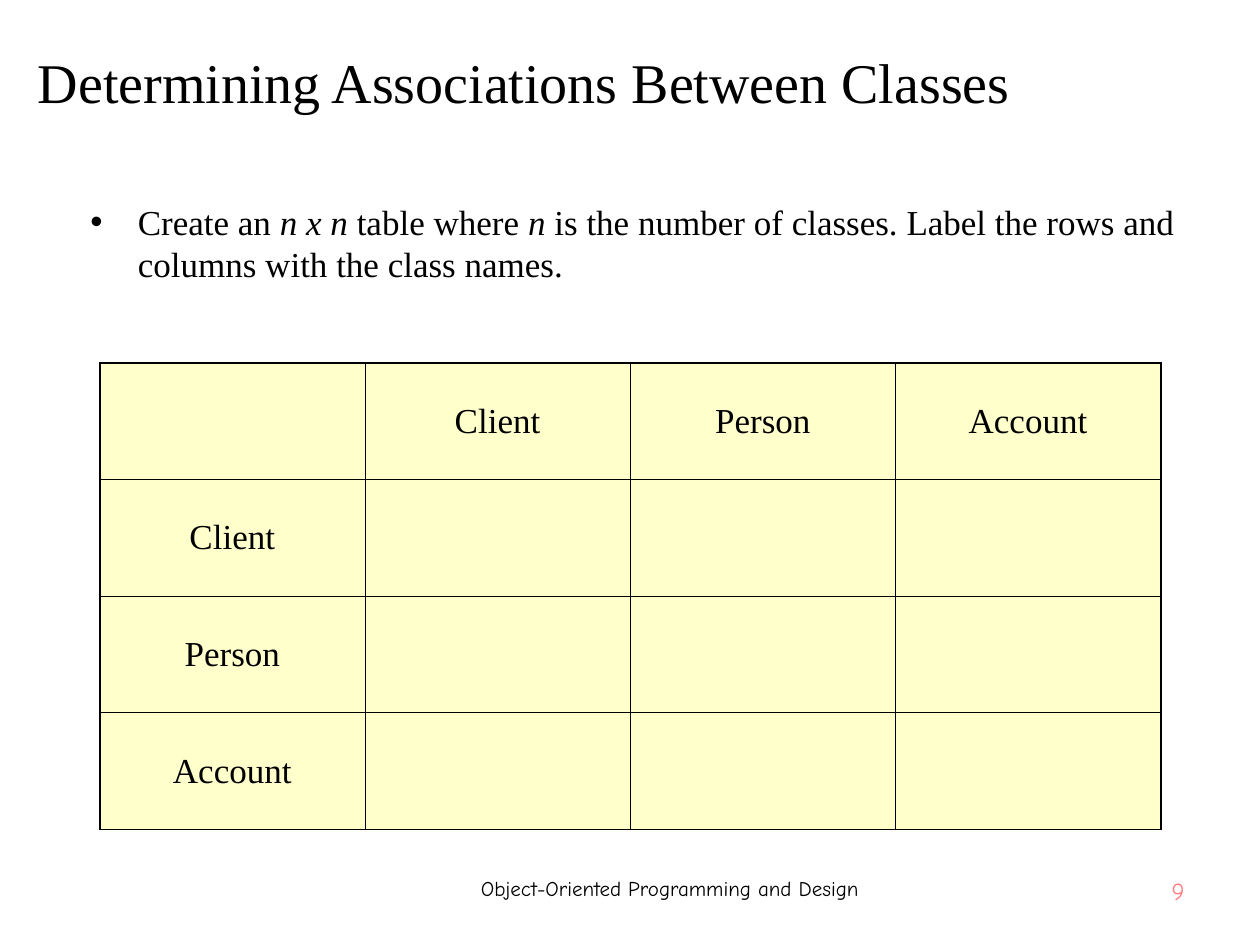
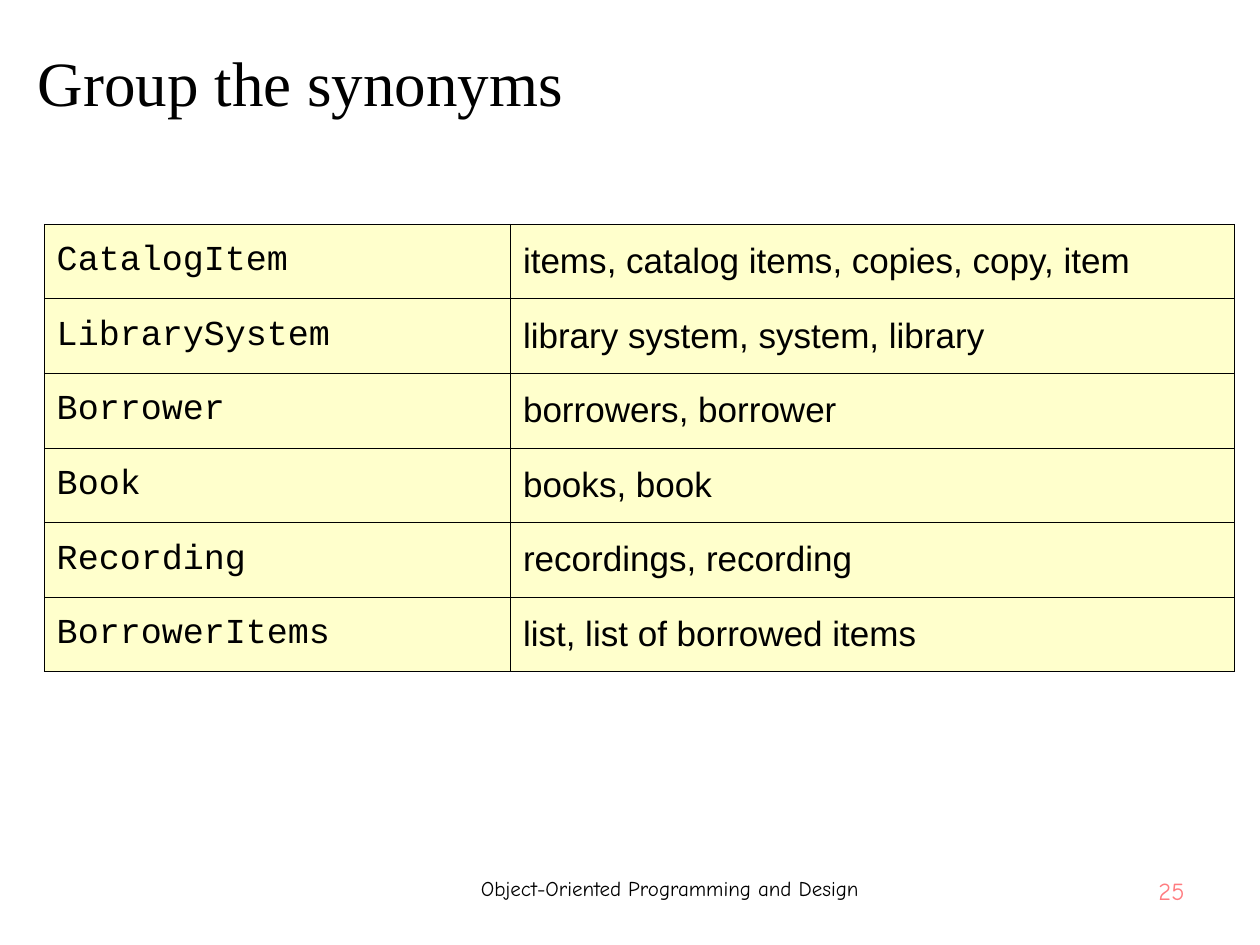
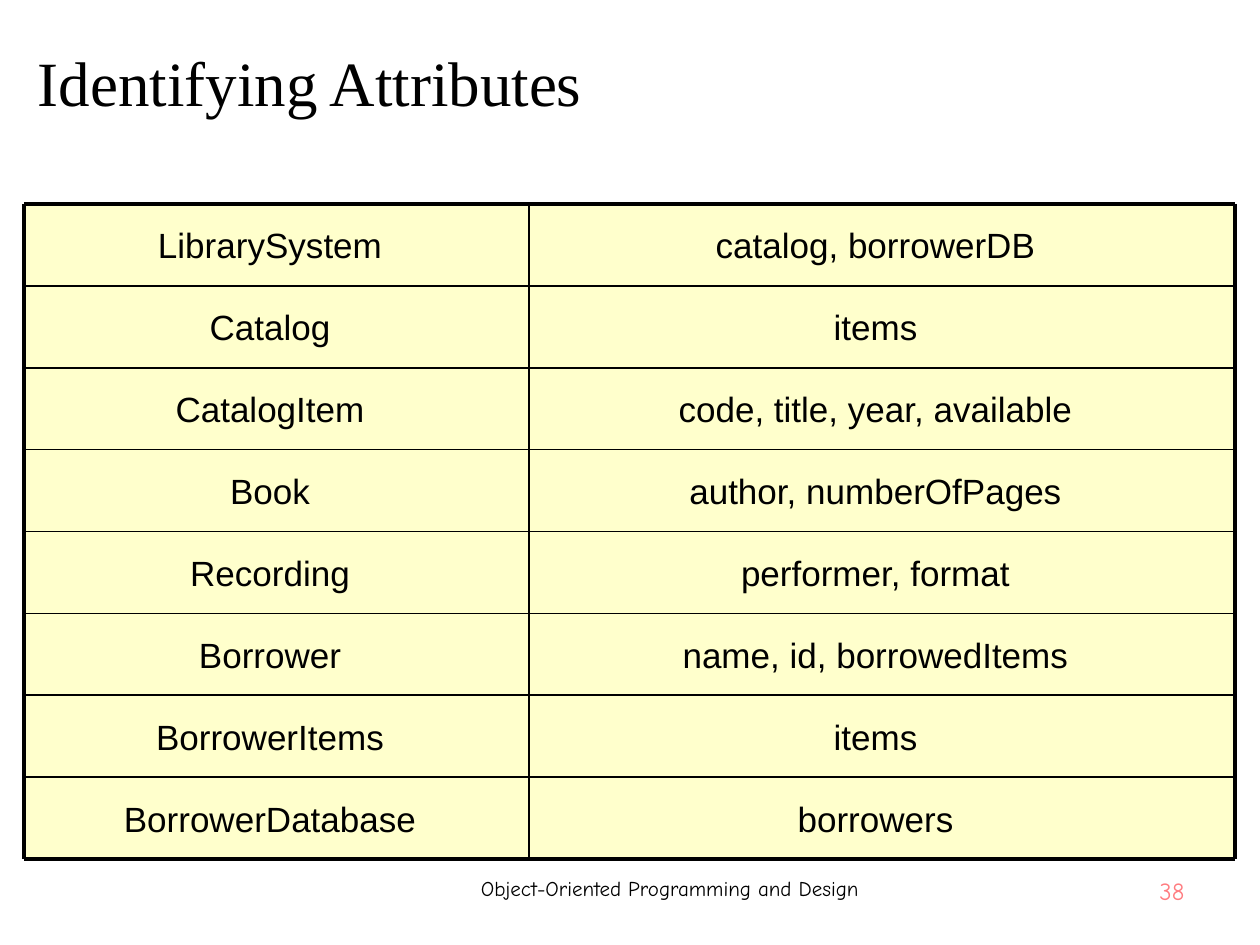
import pptx
import pptx.util
import pptx.dml.color
import pptx.enum.shapes
import pptx.enum.text
import pptx.oxml.ns
import lxml.etree

Cm = pptx.util.Cm
Pt = pptx.util.Pt
ALIGN = pptx.enum.text.PP_ALIGN
MIDDLE = pptx.enum.text.MSO_ANCHOR.MIDDLE
TOP = pptx.enum.text.MSO_ANCHOR.TOP

COLORS = {"ink": "000000", "cell": "FFFFCC", "page": "FF7C80"}
SERIF, SANS, MONO, COMIC = "Times New Roman", "Arial", "Courier New", "Comic Neue"

# Boxes: left, top, width, height in cm
TITLE = (0.51, 0.53, 24.41, 2.21)
BODY = (1.57, 3.91, 22.53, 12.8)
FOOT = (7.7, 17.53, 11.61, 1.14)
PAGE = (21.31, 17.53, 2.82, 1.14)
MATRIX = (2.01, 7.32, 21.39, 9.4)
GROUPS = (0.89, 4.52, 24, 9.02)
FIELDS = (0.48, 4.11, 24.41, 13.21)

CLASSES = ["Client", "Person", "Account"]
SYNONYMS = [
    ("CatalogItem", "items, catalog items, copies, copy, item"),
    ("LibrarySystem", "library system, system, library"),
    ("Borrower", "borrowers, borrower"),
    ("Book", "books, book"),
    ("Recording", "recordings, recording"),
    ("BorrowerItems", "list, list of borrowed items"),
]
TRAITS = [
    ("LibrarySystem", "catalog, borrowerDB"),
    ("Catalog", "items"),
    ("CatalogItem", "code, title, year, available"),
    ("Book", "author, numberOfPages"),
    ("Recording", "performer, format"),
    ("Borrower", "name, id, borrowedItems"),
    ("BorrowerItems", "items"),
    ("BorrowerDatabase", "borrowers"),
]


def rgb(name):
    return pptx.dml.color.RGBColor.from_string(COLORS[name])


def apply(target, values):
    for name, value in values.items():
        setattr(target, name, value)


def lengths(box):
    return [Cm(side) for side in box]


def place(shape, box):
    apply(shape, dict(zip(("left", "top", "width", "height"), lengths(box))))


def write(para, runs, font, size, align=ALIGN.LEFT, color="ink"):
    """Fill a paragraph with (text, italic) runs."""
    apply(para, {"alignment": align, "space_before": Pt(0)})
    for text, slant in runs:
        run = para.add_run()
        run.text = text
        apply(run.font, {"name": font, "size": Pt(size), "italic": slant})
        run.font.color.rgb = rgb(color)


def note(slide, box, text, size, align, color):
    frame = slide.shapes.add_textbox(*lengths(box)).text_frame
    frame.word_wrap = True
    write(frame.paragraphs[0], [(text, False)], COMIC, size, align, color)


def start(deck, layout, title, size, page):
    """Add a slide with its title, footer and page number."""
    slide = deck.slides.add_slide(deck.slide_layouts[layout])
    head = slide.shapes.title
    place(head, TITLE)
    apply(head.text_frame, {"vertical_anchor": MIDDLE, "word_wrap": True,
                            "auto_size": pptx.enum.text.MSO_AUTO_SIZE.NONE})
    write(head.text_frame.paragraphs[0], [(title, False)], SERIF, size)
    note(slide, PAGE, str(page), 14, ALIGN.RIGHT, "page")
    note(slide, FOOT, "Object-Oriented Programming and Design", 12, ALIGN.CENTER, "ink")
    return slide


def edge(cell, tag, width):
    props = cell._tc.get_or_add_tcPr()
    line = lxml.etree.SubElement(props, pptx.oxml.ns.qn("a:" + tag), w=str(Pt(width)))
    fill = lxml.etree.SubElement(line, pptx.oxml.ns.qn("a:solidFill"))
    lxml.etree.SubElement(fill, pptx.oxml.ns.qn("a:srgbClr"), val=COLORS["ink"])


def grid(slide, box, rows, widths, fonts, align, outer):
    """Draw a ruled table; outer is the width of its frame."""
    table = slide.shapes.add_table(len(rows), len(widths), *lengths(box)).table
    apply(table, {"first_row": False, "horz_banding": False})
    for column, width in zip(table.columns, widths):
        column.width = Cm(width)
    for r, row in enumerate(rows):
        table.rows[r].height = Cm(box[3] / len(rows))
        for c, text in enumerate(row):
            cell = table.cell(r, c)
            rims = {"lnL": c == 0, "lnR": c == len(row) - 1,
                    "lnT": r == 0, "lnB": r == len(rows) - 1}
            for tag, rim in rims.items():
                edge(cell, tag, outer if rim else 0.45)
            cell.fill.solid()
            cell.fill.fore_color.rgb = rgb("cell")
            cell.vertical_anchor = MIDDLE
            if text:
                para = cell.text_frame.paragraphs[0]
                write(para, [(text, False)], fonts[c], 20, align)


def tile(slide, box, text):
    shape = slide.shapes.add_shape(pptx.enum.shapes.MSO_SHAPE.RECTANGLE, *lengths(box))
    shape.shadow.inherit = False
    shape.fill.solid()
    shape.fill.fore_color.rgb = rgb("cell")
    shape.line.fill.background()
    apply(shape.text_frame, {"vertical_anchor": MIDDLE, "word_wrap": True,
                             "margin_left": 0, "margin_right": Cm(0.25)})
    write(shape.text_frame.paragraphs[0], [(text, False)], SANS, 20, ALIGN.CENTER)


def rule(slide, ends, width):
    kind = pptx.enum.shapes.MSO_CONNECTOR.STRAIGHT
    line = slide.shapes.add_connector(kind, *lengths(ends))
    line.line.color.rgb = rgb("ink")
    line.line.width = Pt(width)
    lxml.etree.SubElement(line._element.spPr, pptx.oxml.ns.qn("a:effectLst"))


def tiles(slide, box, rows, split):
    """Draw two columns of tiles with rules laid over them."""
    left, top, width, height = box
    right, base, step = left + width, top + height, height / len(rows)
    for r, (name, traits) in enumerate(rows):
        y = top + r * step
        tile(slide, (left, y, split, step), name)
        tile(slide, (left + split, y, width - split, step), traits)
    for r in range(len(rows) + 1):
        y = top + r * step
        rule(slide, (left, y, right, y), 2.25 if r in (0, len(rows)) else 1)
    for x, weight in ((left, 2.25), (left + split, 1), (right, 2.25)):
        rule(slide, (x, top, x, base), weight)


def bullet(slide, box, runs):
    body = slide.placeholders[1]
    place(body, box)
    apply(body.text_frame, {"vertical_anchor": TOP, "word_wrap": True,
                            "auto_size": pptx.enum.text.MSO_AUTO_SIZE.NONE})
    write(body.text_frame.paragraphs[0], runs, SERIF, 20)


def main():
    deck = pptx.Presentation()
    apply(deck, {"slide_width": Cm(25.4), "slide_height": Cm(19.05)})

    # Associations
    slide = start(deck, 1, "Determining Associations Between Classes", 32, 9)
    bullet(slide, BODY, [
        ("Create an ", False), ("n x n", True), (" table where ", False), ("n", True),
        (" is the number of classes. Label the rows and columns with the class names.",
         False)])
    rows = [[""] + CLASSES] + [[name, "", "", ""] for name in CLASSES]
    grid(slide, MATRIX, rows, [MATRIX[2] / 4] * 4, [SERIF] * 4, ALIGN.CENTER, 1.08)

    # Synonyms
    slide = start(deck, 5, "Group the synonyms", 36, 25)
    grid(slide, GROUPS, SYNONYMS, [9.4, 14.6], [MONO, SANS], ALIGN.LEFT, 0.45)

    # Attributes
    slide = start(deck, 5, "Identifying Attributes", 36, 38)
    tiles(slide, FIELDS, TRAITS, 10.18)

    deck.save("out.pptx")


if __name__ == "__main__":
    main()
